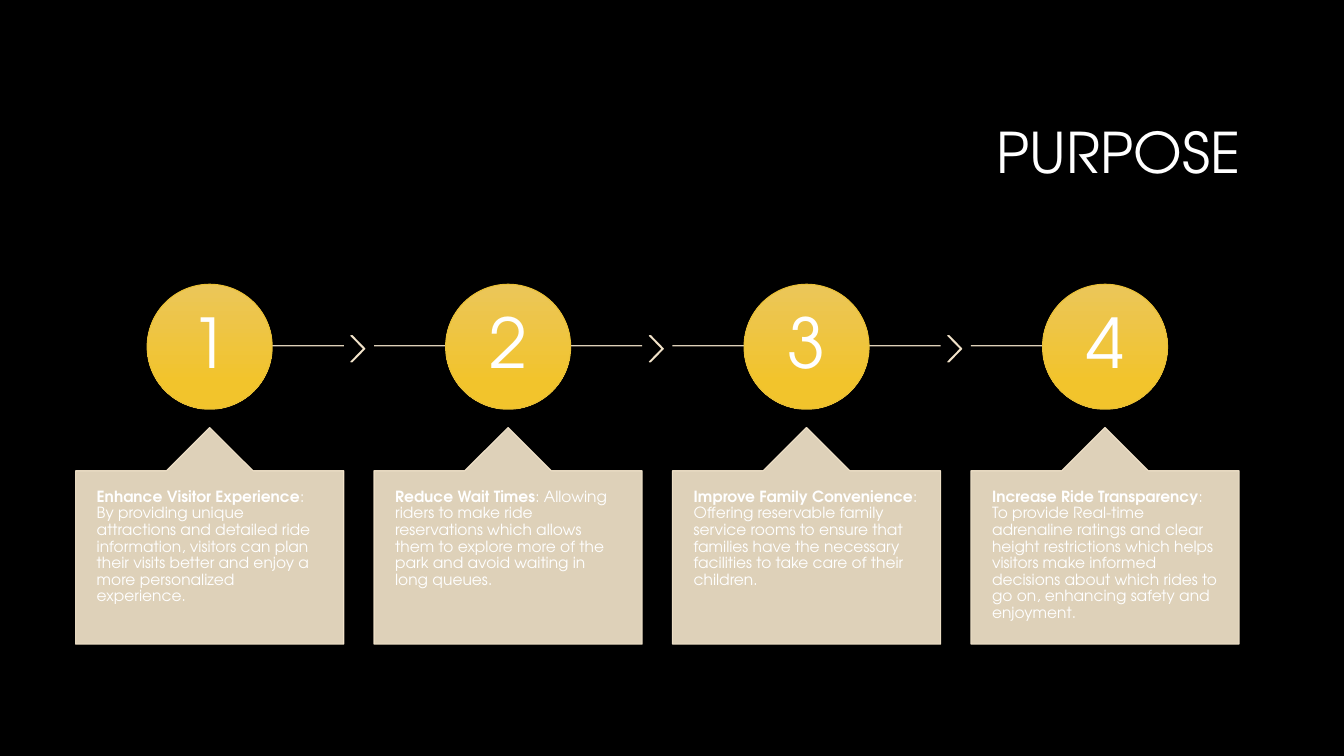
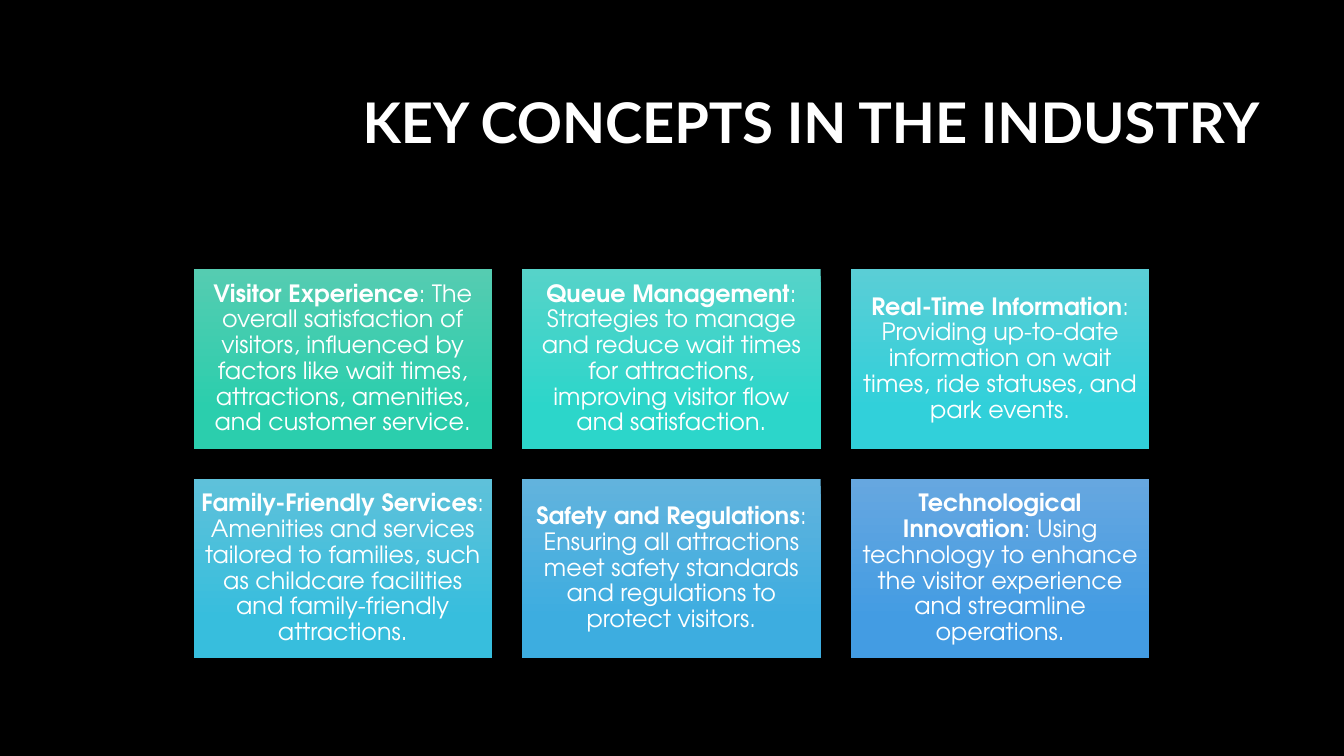
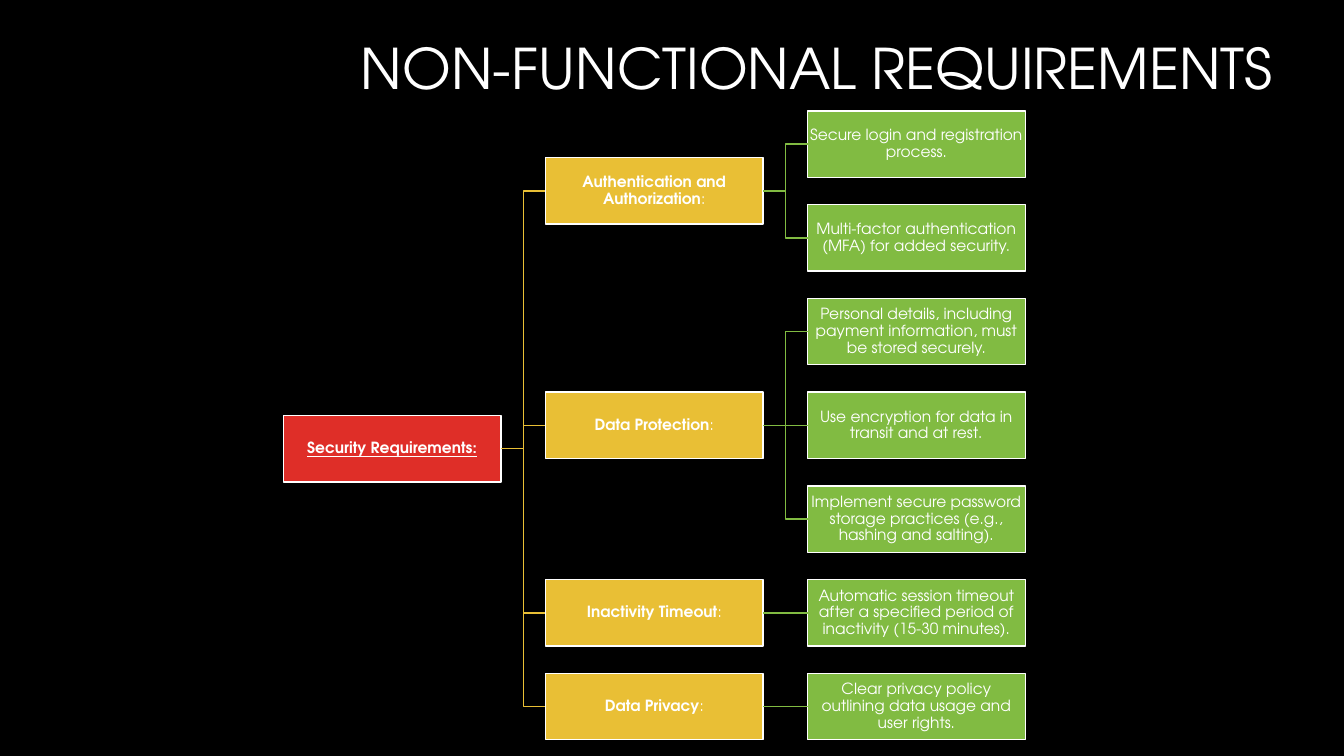
"""Build three slides on a theme park app: purpose, key concepts and requirements."""
from lxml.etree import SubElement
from pptx import Presentation
from pptx.dml.color import RGBColor
from pptx.enum.shapes import MSO_CONNECTOR as LINK, MSO_SHAPE as SHAPE, MSO_SHAPE_TYPE as KIND
from pptx.enum.text import MSO_ANCHOR as ANCHOR, MSO_AUTO_SIZE as FIT, PP_ALIGN as ALIGN
from pptx.oxml.ns import qn
from pptx.util import Inches, Pt

BLACK, WHITE, CREAM = "000000", "FFFFFF", "F7E8CE"
RED, GOLD, GREEN = "DF2E28", "E9BF35", "81BB42"
FONT = "TeX Gyre Adventor"


def paint(target, *colors):
    """Give a fill, line or font one colour, or a fill a downward gradient of two."""
    if len(colors) == 2:
        target.gradient()
        target.gradient_angle = 270
        for stop, color, position in zip(target.gradient_stops, colors, (0, 0.78)):
            stop.color.rgb = RGBColor.from_string(color)
            stop.position = position
    elif hasattr(target, "solid"):
        target.solid()
        target.fore_color.rgb = RGBColor.from_string(colors[0])
    else:
        target.color.rgb = RGBColor.from_string(colors[0])


def write(shape, heading, rest, size, margins, align=ALIGN.CENTER, anchor=ANCHOR.MIDDLE, font=FONT):
    """Fill a shape with one white paragraph: a bold heading, then plain text."""
    frame = shape.text_frame
    frame.word_wrap = True
    frame.auto_size = FIT.NONE
    frame.vertical_anchor = anchor
    frame.margin_left, frame.margin_top, frame.margin_right, frame.margin_bottom = map(Inches, margins)
    paragraph = frame.paragraphs[0]
    paragraph.alignment = align
    paragraph.line_spacing = 0.9
    paragraph.font.name = font
    paragraph.font.size = Pt(size)
    paint(paragraph.font, WHITE)
    for text, bold in ((heading, True), (rest, False)):
        if text:
            run = paragraph.add_run()
            run.text = text
            run.font.bold = bold


prs = Presentation()
prs.slide_width, prs.slide_height = Inches(13.33), Inches(7.5)
paint(prs.slide_master.background.fill, BLACK)

titles = [
    ("", "PURPOSE", FONT, 3.17, 0.84, (0.1, 0.05, 0.29, 0.05)),
    ("KEY CONCEPTS IN THE INDUSTRY", "", "Lato", 3.17, 0.84, (0.1, 0.05, 0.1, 0.65)),
    ("", "NON-FUNCTIONAL REQUIREMENTS", FONT, 3.3, 0, (0.1, 0.05, 0.1, 0.05)),
]
for bold_title, plain_title, font, left, top, margins in titles:
    title = prs.slides.add_slide(prs.slide_layouts[5]).shapes.title
    title.left, title.top, title.width, title.height = map(Inches, (left, top, 9.42, 1.41))
    write(title, bold_title, plain_title, 40, margins, ALIGN.RIGHT, font=font)
purpose, concepts, requirements = prs.slides

goals = [
    ("Enhance Visitor Experience", ": By providing unique attractions and detailed ride information, "
     "visitors can plan their visits better and enjoy a more personalized experience."),
    ("Reduce Wait Times", ": Allowing riders to make ride reservations which allows them to explore "
     "more of the park and avoid waiting in long queues."),
    ("Improve Family Convenience", ": Offering reservable family service rooms to ensure that "
     "families have the necessary facilities to take care of their children."),
    ("Increase Ride Transparency", ": To provide Real-time adrenaline ratings and clear height "
     "restrictions which helps visitors make informed decisions about which rides to go on, "
     "enhancing safety and enjoyment."),
]
goal_width, goal_pitch, circle_size = 2.66, 2.96, 1.24
for number, (heading, rest) in enumerate(goals, 1):
    left = 0.75 + (number - 1) * goal_pitch
    center = left + goal_width / 2
    right = left + goal_width

    start = center if number == 1 else left
    end = center if number == len(goals) else right
    track = purpose.shapes.add_connector(
        LINK.STRAIGHT, Inches(start), Inches(3.43), Inches(end), Inches(3.43))
    paint(track.line, CREAM)
    track.line.width = Pt(0.75)

    if number < len(goals):
        chevron = purpose.shapes.add_shape(
            SHAPE.CHEVRON, Inches(right + 0.07), Inches(3.33), Inches(0.14), Inches(0.26))
        chevron.adjustments[0] = 0.9
        paint(chevron.fill, CREAM)
        paint(chevron.line, CREAM)
        chevron.line.width = Pt(0.75)

    circle = purpose.shapes.add_shape(
        SHAPE.OVAL, Inches(center - circle_size / 2), Inches(2.82), Inches(circle_size), Inches(circle_size))
    paint(circle.fill, "EBC659", "F2C42C")
    paint(circle.line, GOLD)
    circle.line.width = Pt(0.75)
    write(circle, "", str(number), 49, [0.05] * 4)

    callout = purpose.shapes.add_shape(
        SHAPE.UP_ARROW_CALLOUT, Inches(left), Inches(4.24), Inches(goal_width), Inches(2.15))
    for index, adjustment in enumerate((0.5, 0.2, 0.2, 1)):
        callout.adjustments[index] = adjustment
    paint(callout.fill, CREAM)
    paint(callout.line, CREAM)
    callout.line.width = Pt(0.75)
    write(callout, heading, rest, 11, (0.21, 0.18, 0.21, 0.18), ALIGN.LEFT, ANCHOR.TOP)

for color in purpose.element.iter(qn("a:srgbClr")):
    if color.get("val") == CREAM:
        SubElement(color, qn("a:alpha")).set("val", "90000")

ideas = [
    ("Visitor Experience", ": The overall satisfaction of visitors, influenced by factors like wait "
     "times, attractions, amenities, and customer service.", "55CCB1", "2BCEAD"),
    ("Queue Management", ": Strategies to manage and reduce wait times for attractions, improving "
     "visitor flow and satisfaction.", "56D3C9", "2CD6CA"),
    ("Real-Time Information", ": Providing up-to-date information on wait times, ride statuses, "
     "and park events.", "5ACED6", "31D0DA"),
    ("Family-Friendly Services", ": Amenities and services tailored to families, such as childcare "
     "facilities and family-friendly attractions.", "5EC1DA", "37BEDD"),
    ("Safety and Regulations", ": Ensuring all attractions meet safety standards and regulations to "
     "protect visitors.", "62B3DD", "3DADE0"),
    ("Technological Innovation", ": Using technology to enhance the visitor experience and "
     "streamline operations.", "66A7E0", "439CE3"),
]
card_width, card_height, card_gap = 2.96, 1.78, 0.3
for index, (heading, rest, upper, lower) in enumerate(ideas):
    row, column = divmod(index, 3)
    card = concepts.shapes.add_shape(
        SHAPE.RECTANGLE,
        Inches(1.92 + column * (card_width + card_gap)), Inches(2.67 + row * (card_height + card_gap)),
        Inches(card_width), Inches(card_height))
    paint(card.fill, upper, lower)
    card.line.fill.background()
    write(card, heading, rest, 17, [0.07] * 4)

branches = [
    ("Authentication and Authorization", [
        "Secure login and registration process.",
        "Multi-factor authentication (MFA) for added security."]),
    ("Data Protection", [
        "Personal details, including payment information, must be stored securely.",
        "Use encryption for data in transit and at rest.",
        "Implement secure password storage practices (e.g., hashing and salting)."]),
    ("Inactivity Timeout", [
        "Automatic session timeout after a specified period of inactivity (15-30 minutes)."]),
    ("Data Privacy", ["Clear privacy policy outlining data usage and user rights."]),
]
nodes = []
branch_tops = []
leaf_top, leaf_pitch = 1.1, 0.93
for heading, leaves in branches:
    branch = len(nodes) + 1
    leaf_tops = [leaf_top + index * leaf_pitch for index in range(len(leaves))]
    branch_top = (leaf_tops[0] + leaf_tops[-1]) / 2
    nodes.append((heading, ":", 1, branch_top, GOLD, 0))
    nodes += [("", leaf, 2, top, GREEN, branch) for leaf, top in zip(leaves, leaf_tops)]
    branch_tops.append(branch_top)
    leaf_top += len(leaves) * leaf_pitch
root_top = (branch_tops[0] + branch_tops[-1]) / 2
nodes.insert(0, ("Security Requirements:", "", 0, root_top, RED, None))

boxes = []
for heading, rest, level, top, color, parent in nodes:
    box = requirements.shapes.add_shape(
        SHAPE.RECTANGLE, Inches(2.81 + level * 2.6), Inches(top), Inches(2.16), Inches(0.66))
    paint(box.fill, color)
    paint(box.line, WHITE)
    box.line.width = Pt(1)
    write(box, heading, rest, 11, [0.01] * 4)
    boxes.append(box)
    if parent is None:
        box.text_frame.paragraphs[0].font.underline = True
        continue
    level_with_parent = abs(box.top - boxes[parent].top) < Inches(0.01)
    branch_line = requirements.shapes.add_connector(
        LINK.STRAIGHT if level_with_parent else LINK.ELBOW, 0, 0, 0, 0)
    branch_line.begin_connect(boxes[parent], 3)
    branch_line.end_connect(box, 1)
    paint(branch_line.line, color)
    branch_line.line.width = Pt(1)

for slide in prs.slides:
    for shape in slide.shapes:
        if shape.shape_type == KIND.LINE:
            SubElement(shape.element.spPr, qn("a:effectLst"))
        elif shape.shape_type == KIND.AUTO_SHAPE:
            shape.shadow.inherit = False

prs.save("out.pptx")
